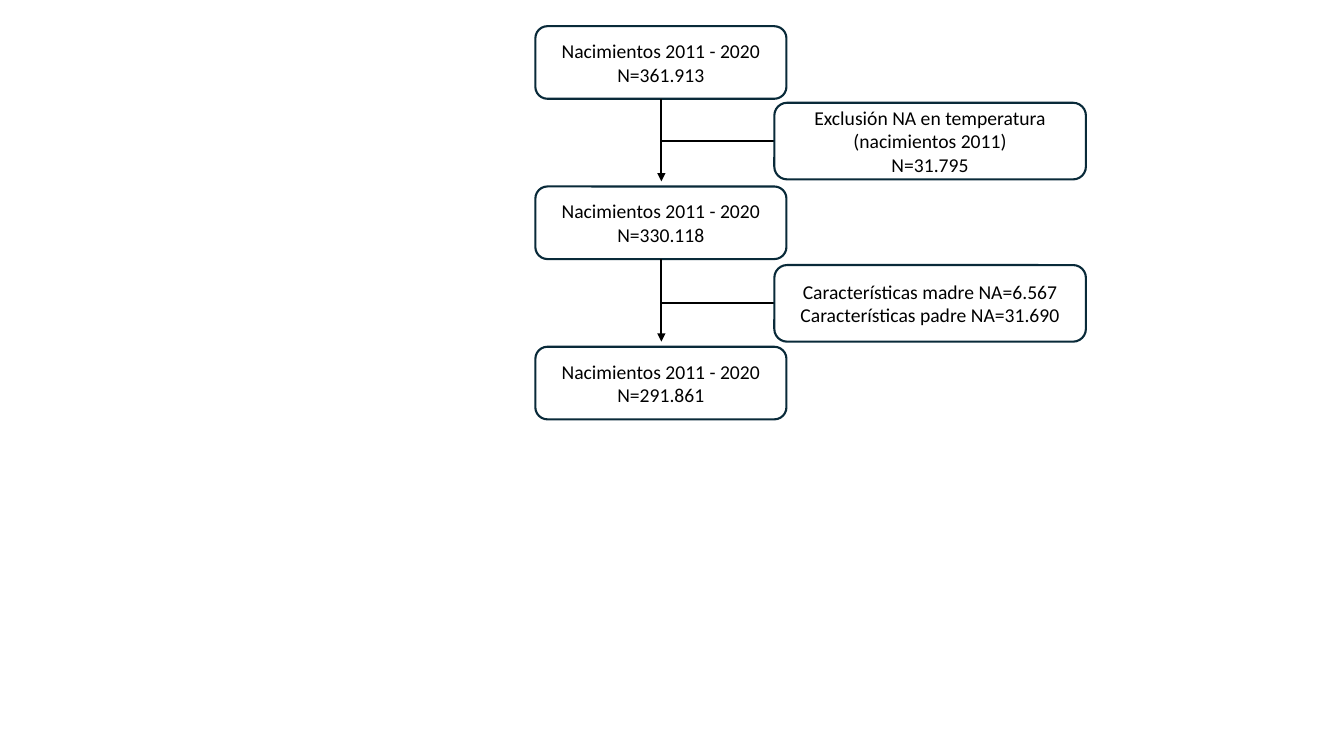
import pptx
import pptx.util
import pptx.dml.color
import pptx.enum.shapes
import pptx.enum.text
import lxml.etree
import pptx.oxml.ns

Inches = pptx.util.Inches
Pt = pptx.util.Pt
qn = pptx.oxml.ns.qn
COLORS = {"border": "092A39", "ink": "000000"}

deck = pptx.Presentation()
deck.slide_width = Inches(13.33)
deck.slide_height = Inches(7.5)
slide = deck.slides.add_slide(deck.slide_layouts[6])


def add_box(left, top, width, height, lines):
    box = slide.shapes.add_shape(
        pptx.enum.shapes.MSO_SHAPE.ROUNDED_RECTANGLE,
        Inches(left), Inches(top), Inches(width), Inches(height))
    box.shadow.inherit = False
    box.fill.background()
    box.line.color.rgb = pptx.dml.color.RGBColor.from_string(COLORS["border"])
    box.line.width = Pt(1.5)
    frame = box.text_frame
    frame.word_wrap = True
    frame.vertical_anchor = pptx.enum.text.MSO_ANCHOR.MIDDLE
    frame.text = "\n".join(lines)
    for paragraph in frame.paragraphs:
        paragraph.alignment = pptx.enum.text.PP_ALIGN.CENTER
        paragraph.font.name = "Calibri"
        paragraph.font.size = Pt(14)
        paragraph.font.color.rgb = pptx.dml.color.RGBColor.from_string(COLORS["ink"])


def add_line(x1, y1, x2, y2, arrow=False):
    line = slide.shapes.add_connector(
        pptx.enum.shapes.MSO_CONNECTOR.STRAIGHT,
        Inches(x1), Inches(y1), Inches(x2), Inches(y2))
    line.line.color.rgb = pptx.dml.color.RGBColor.from_string(COLORS["ink"])
    line.line.width = Pt(1.5)
    if arrow:
        lxml.etree.SubElement(line.line._get_or_add_ln(), qn("a:tailEnd"), type="triangle")
    lxml.etree.SubElement(line._element.spPr, qn("a:effectLst"))


birth_left, birth_top, birth_width, birth_height = 5.31, 0.26, 2.49, 0.72
birth_step = 1.59
axis = 6.56
exclusion_left, exclusion_width, exclusion_height = 7.68, 3.09, 0.76

birth_counts = ["361.913", "330.118", "291.861"]
exclusions = [
    (1.02, ["Exclusión NA en temperatura (nacimientos 2011)", "N=31.795"]),
    (2.63, ["Características madre NA=6.567", "Características padre NA=31.690"]),
]

for step, count in enumerate(birth_counts):
    add_box(birth_left, birth_top + step * birth_step, birth_width, birth_height,
            [f"Nacimientos 2011 - 2020 N={count}"])

for step, (top, lines) in enumerate(exclusions):
    birth_bottom = birth_top + step * birth_step + birth_height
    next_birth_top = birth_top + (step + 1) * birth_step
    branch = top + exclusion_height / 2
    add_line(axis, birth_bottom, axis, next_birth_top - 0.05, arrow=True)
    add_line(axis, branch, exclusion_left, branch)
    add_box(exclusion_left, top, exclusion_width, exclusion_height, lines)

deck.save("out.pptx")
